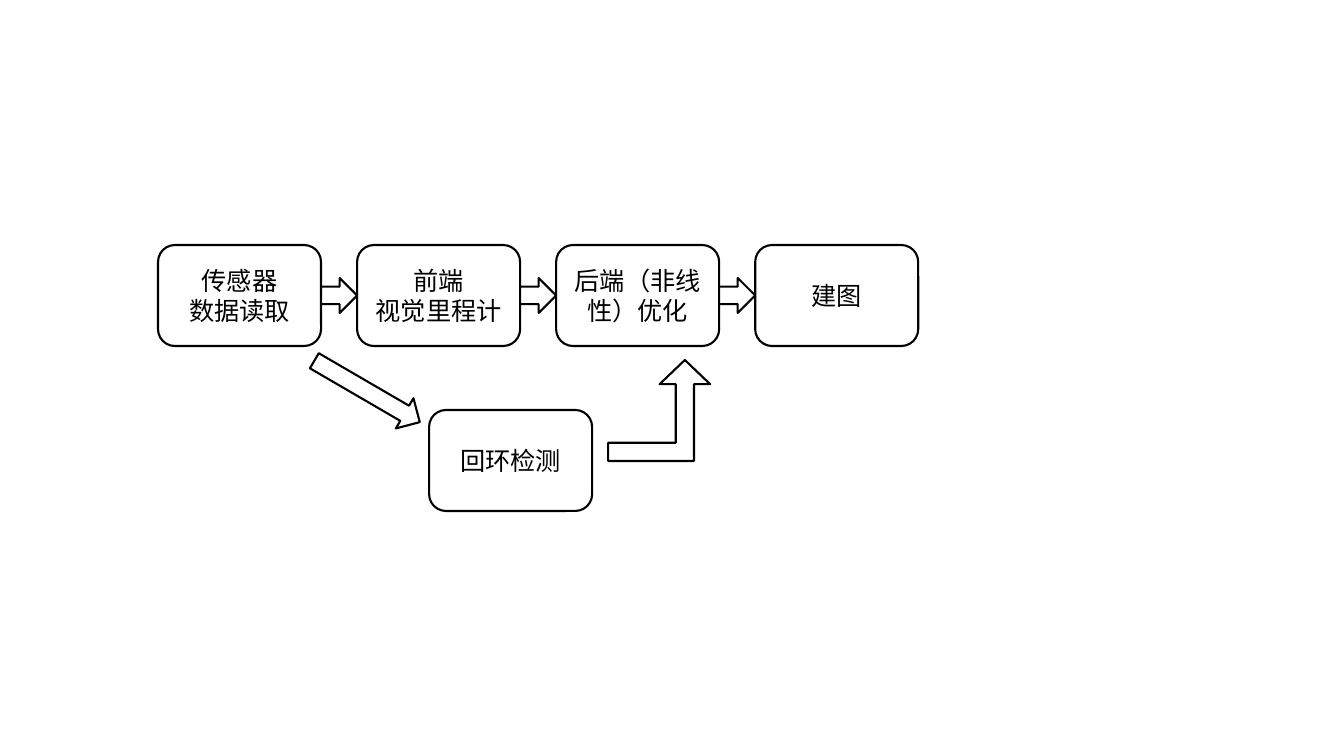
from lxml import etree
from pptx import Presentation
from pptx import util as u
from pptx.dml.color import RGBColor
from pptx.enum import shapes, text
from pptx.oxml.ns import qn

PIXEL = u.Inches(1) / 100.8
FONT = "Noto Sans CJK SC"
COLORS = {"fill": "FFFFFF", "ink": "000000"}

PIPELINE = [
    ["传感器", "数据读取"],
    ["前端", "视觉里程计"],
    ["后端（非线性）优化"],
    ["建图"],
]
LOOP_CLOSURE = ["回环检测"]

BOX_WIDTH, BOX_HEIGHT = 163, 101
ROW_LEFT, ROW_TOP = 158, 245
GAP, ARROW_HEIGHT = 36, 35
LOOP_LEFT, LOOP_TOP = 429, 410


def add_outlined(slide, kind, left, top, width, height):
    """Add a white preset shape with a black outline, placed in pixels."""
    frame = [u.Emu(round(length * PIXEL)) for length in (left, top, width, height)]
    shape = slide.shapes.add_shape(kind, *frame)
    shape.shadow.inherit = False
    shape.fill.solid()
    shape.fill.fore_color.rgb = RGBColor.from_string(COLORS["fill"])
    shape.line.color.rgb = RGBColor.from_string(COLORS["ink"])
    shape.line.width = u.Pt(1.5)
    return shape


def add_box(slide, lines, left, top):
    """Add a rounded step box with one centred paragraph per line."""
    shape = add_outlined(slide, shapes.MSO_SHAPE.ROUNDED_RECTANGLE,
                         left, top, BOX_WIDTH, BOX_HEIGHT)
    frame = shape.text_frame
    frame.word_wrap = True
    frame.vertical_anchor = text.MSO_ANCHOR.MIDDLE
    for index, line in enumerate(lines):
        paragraph = frame.add_paragraph() if index else frame.paragraphs[0]
        paragraph.alignment = text.PP_ALIGN.CENTER
        run = paragraph.add_run()
        run.text = line
        run.font.size = u.Pt(18)
        run.font.name = FONT
        run.font.color.rgb = RGBColor.from_string(COLORS["ink"])
        east_asian = etree.Element(qn("a:ea"), typeface=FONT)
        run.font._element.find(qn("a:latin")).addnext(east_asian)


presentation = Presentation()
presentation.slide_width = u.Inches(13.33)
presentation.slide_height = u.Inches(7.5)
slide = presentation.slides.add_slide(presentation.slide_layouts[6])

for index, lines in enumerate(PIPELINE):
    add_box(slide, lines, ROW_LEFT + index * (BOX_WIDTH + GAP), ROW_TOP)
add_box(slide, LOOP_CLOSURE, LOOP_LEFT, LOOP_TOP)

arrow_top = ROW_TOP + (BOX_HEIGHT - ARROW_HEIGHT) / 2
for index in range(len(PIPELINE) - 1):
    arrow_left = ROW_LEFT + BOX_WIDTH + index * (BOX_WIDTH + GAP)
    add_outlined(slide, shapes.MSO_SHAPE.RIGHT_ARROW,
                 arrow_left, arrow_top, GAP, ARROW_HEIGHT)

arrow_to_loop = add_outlined(slide, shapes.MSO_SHAPE.RIGHT_ARROW,
                             306, 374, 122, ARROW_HEIGHT)
arrow_to_loop.rotation = 30.2

arrow_to_backend = add_outlined(slide, shapes.MSO_SHAPE.BENT_UP_ARROW,
                                608, 360, 102, 101)
for index, value in enumerate((0.18, 0.25, 0.24)):
    arrow_to_backend.adjustments[index] = value

presentation.save("out.pptx")
